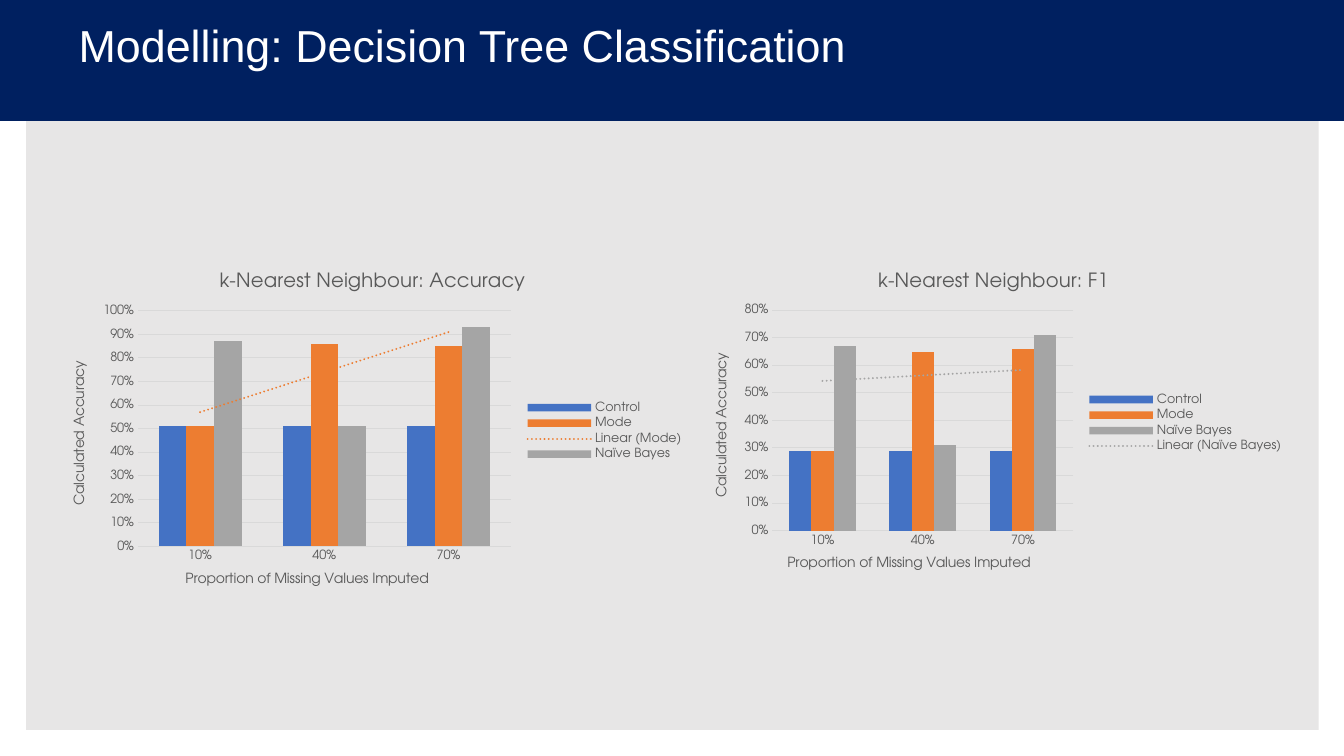
from dataclasses import dataclass
from lxml import etree
from pptx import Presentation
from pptx.chart.data import CategoryChartData as Data
from pptx.dml.color import RGBColor as RGB
from pptx.enum.chart import XL_CHART_TYPE as Kind, XL_LEGEND_POSITION as Side, XL_TICK_MARK as Tick
from pptx.enum.shapes import MSO_SHAPE as Form
from pptx.enum.text import MSO_ANCHOR as Anchor, MSO_AUTO_SIZE as Auto, PP_ALIGN as Align
from pptx.oxml import parse_xml
from pptx.oxml.ns import nsdecls, qn
from pptx.util import Inches, Pt


@dataclass(frozen=True)
class Theme:
    navy: str = "002060"
    panel: str = "E7E6E6"
    white: str = "FFFFFF"
    ink: str = "595959"
    grid: str = "D9D9D9"
    bars: tuple = ("4472C4", "ED7D31", "A5A5A5")
    head: str = "Arial"
    body: str = "TeX Gyre Adventor"
    big: int = 32
    mid: int = 14
    base: int = 10
    small: int = 9


look = Theme()


def write(frame, text, size=look.base, color=look.ink, font=look.body, align=None, space=None):
    frame.text = text
    para = frame.paragraphs[0]
    para.alignment = align
    para.line_spacing = space
    style = para.runs[0].font
    style.size, style.name, style.bold = Pt(size), font, False
    style.color.rgb = RGB.from_string(color)


deck = Presentation()
deck.slide_width, deck.slide_height = Inches(13.33), Inches(7.5)


def place(left, top, wide, high):
    col, row = deck.slide_width / 100, deck.slide_height / 100
    return int(left * col), int(top * row), int(wide * col), int(high * row)


slide = deck.slides.add_slide(deck.slide_layouts[5])
shapes = slide.shapes

for area, color in (((1.95, 3.47, 96.17, 93.07), look.panel), ((0, 0, 100, 16), look.navy)):
    block = shapes.add_shape(Form.RECTANGLE, *place(*area))
    block.shadow.inherit = False
    block.fill.solid()
    block.fill.fore_color.rgb = RGB.from_string(color)
    block.line.fill.background()

names = ("Control", "Mode", "Naïve Bayes")
plots = (
    ("k-Nearest Neighbour: Accuracy", (3.83, 33.73, 47.79, 46.53), 1, "Mode",
     ((0.51, 0.51, 0.51), (0.51, 0.86, 0.85), (0.87, 0.51, 0.93))),
    ("k-Nearest Neighbour: F1", (51.61, 33.73, 44.64, 44.4), 0.8, "Naïve Bayes",
     ((0.29, 0.29, 0.29), (0.29, 0.65, 0.66), (0.67, 0.31, 0.71))),
)

for label, area, top, trend, rows in plots:
    data = Data(number_format="0%")
    data.categories = (0.1, 0.4, 0.7)
    data.categories.number_format = "0%"
    for name, row in zip(names, rows):
        data.add_series(name, row)
    chart = shapes.add_chart(Kind.COLUMN_CLUSTERED, *place(*area), data).chart
    chart.font.size, chart.font.name = Pt(look.base), look.body
    chart.has_title = True
    write(chart.chart_title.text_frame, label, size=look.mid)
    chart.chart_title.include_in_layout = False

    chart.has_legend = True
    chart.legend.position = Side.RIGHT
    chart.legend.include_in_layout = False

    base, scale = chart.category_axis, chart.value_axis
    for axis, text in ((base, "Proportion of Missing Values Imputed"), (scale, "Calculated Accuracy")):
        write(axis.axis_title.text_frame, text)
        axis.major_tick_mark = axis.minor_tick_mark = Tick.NONE
        axis.tick_labels.number_format = "0%"
        axis.tick_labels.number_format_is_linked = False
    for font in (chart.legend.font, base.tick_labels.font, scale.tick_labels.font):
        font.size, font.name = Pt(look.small), look.body
        font.color.rgb = RGB.from_string(look.ink)

    scale.minimum_scale, scale.maximum_scale, scale.major_unit = 0, top, 0.1
    scale.format.line.fill.background()
    for line in (base.format.line, scale.major_gridlines.format.line):
        line.width = Pt(0.75)
        line.color.rgb = RGB.from_string(look.grid)

    plot = chart.plots[0]
    plot.gap_width, plot.overlap, plot.vary_by_categories = 150, 0, False
    for bar, color in zip(plot.series, look.bars):
        bar.format.fill.solid()
        bar.format.fill.fore_color.rgb = RGB.from_string(color)
        bar.format.line.fill.background()
        if bar.name == trend:
            bar._element.find(qn("c:cat")).addprevious(parse_xml(
                f'<c:trendline {nsdecls("c", "a")}><c:spPr><a:ln w="{Pt(1.5)}" cap="rnd">'
                f'<a:solidFill><a:srgbClr val="{color}"/></a:solidFill><a:prstDash val="sysDot"/>'
                '</a:ln></c:spPr><c:trendlineType val="linear"/><c:dispRSqr val="0"/>'
                '<c:dispEq val="0"/></c:trendline>'))

title = shapes.title
title.left, title.top, title.width, title.height = place(5.1, 3.47, 91.15, 5.73)
frame = title.text_frame
frame.auto_size, frame.word_wrap, frame.vertical_anchor = Auto.NONE, True, Anchor.MIDDLE
write(frame, "Modelling: Decision Tree Classification", size=look.big, color=look.white,
      font=look.head, align=Align.LEFT, space=0.9)
shapes._spTree.append(title._element)

deck.save("out.pptx")
